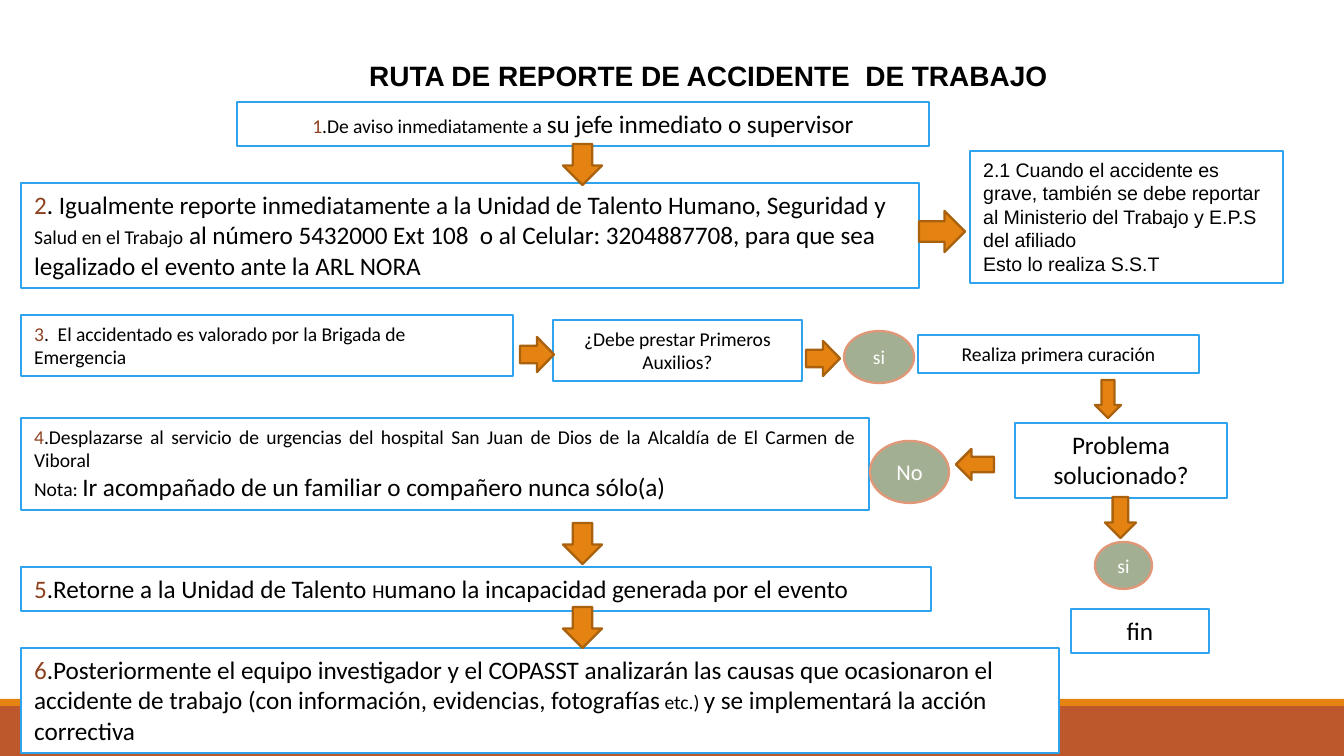
from pptx import Presentation
from pptx.dml.color import RGBColor as RGB
from pptx.enum.shapes import MSO_SHAPE as SHAPE
from pptx.enum.text import MSO_ANCHOR as ANCHOR, MSO_AUTO_SIZE as FIT, PP_ALIGN as ALIGN
from pptx.util import Pt

PX = 914400 / 134.4
WIDE, HIGH = 1344, 756
BIG, SMALL = 13.5, 10.5
LEFT, MID, JUST = ALIGN.LEFT, ALIGN.CENTER, ALIGN.JUSTIFY
HEX = {
    "ink": "000000", "paper": "FFFFFF", "number": "8E4221", "frame": "2FA3EE",
    "sage": "A2AF92", "rim": "E09878", "arrow": "E48312", "edge": "A9610D",
    "band": "BD582C",
}

TITLE = "RUTA DE REPORTE DE ACCIDENTE  DE TRABAJO"
BANDS = [((0, 706, WIDE, 50), "band"), ((0, 699, WIDE, 7), "arrow")]

BOXES = [
    ((237, 102, 692, 44), MID, "Calibri", [[
        ("1", SMALL, "number"), (".De aviso inmediatamente a ", SMALL),
        ("su jefe inmediato o supervisor", BIG)]]),
    ((21, 183, 898, 105), LEFT, "Calibri", [[
        ("2", BIG, "number"),
        (". Igualmente reporte inmediatamente a la Unidad de Talento Humano, Seguridad y ", BIG),
        ("Salud en el Trabajo", SMALL),
        (" al número 5432000 Ext 108  o al Celular: 3204887708, para que sea "
         "legalizado el evento ante la ARL NORA", BIG)]]),
    ((970, 151, 313, 132), LEFT, "Arial", [
        [("2.1 Cuando el accidente es grave, también se debe reportar al "
          "Ministerio del Trabajo y E.P.S del afiliado", SMALL)],
        [("Esto lo realiza S.S.T", SMALL)]]),
    ((21, 315, 492, 61), LEFT, "Calibri", [[
        ("3", SMALL, "number"),
        (".  El accidentado es valorado por la Brigada de Emergencia", SMALL)]]),
    ((553, 320, 249, 61), MID, "Calibri", [[("¿Debe prestar Primeros Auxilios?", SMALL)]]),
    ((918, 335, 281, 38), MID, "Calibri", [[("Realiza primera curación", SMALL)]]),
    ((21, 418, 848, 92), JUST, "Calibri", [
        [("4", SMALL, "number"),
         (".Desplazarse al servicio de urgencias del hospital San Juan de Dios "
          "de la Alcaldía de El Carmen de Viboral", SMALL)],
        [("Nota: ", SMALL),
         ("Ir acompañado de un familiar o compañero nunca sólo(a)", BIG)]]),
    ((1015, 423, 212, 75), MID, "Calibri", [[("Problema solucionado?", BIG)]]),
    ((1071, 609, 138, 44), MID, "Calibri", [[("fin", BIG)]]),
    ((21, 567, 910, 44), LEFT, "Calibri", [[
        ("5", BIG, "number"), (".Retorne a la Unidad de Talento ", BIG),
        ("H", SMALL), ("umano la incapacidad generada por el evento", BIG)]]),
    ((21, 648, 1038, 105), LEFT, "Calibri", [[
        ("6", BIG, "number"),
        (".Posteriormente el equipo investigador y el COPASST analizarán las "
         "causas que ocasionaron el accidente de trabajo (con información, "
         "evidencias, fotografías", BIG),
        (" etc.) ", SMALL), ("y se implementará la acción correctiva", BIG)]]),
]
OVALS = [
    ((844, 331, 70, 52), "si", SMALL),
    ((870, 441, 79, 62), "No", 12),
    ((1095, 542, 57, 47), "si", SMALL),
]
ARROWS = {
    SHAPE.DOWN_ARROW: [(563, y, 39, 41) for y in (144, 523, 607)]
    + [(1095, 380, 26, 38), (1105, 497, 31, 41)],
    SHAPE.RIGHT_ARROW: [(520, 337, 34, 35), (806, 341, 34, 35), (919, 211, 46, 41)],
    SHAPE.LEFT_ARROW: [(956, 449, 38, 31)],
}


def emu(spot):
    return [round(n * PX) for n in spot]


def draw(kind, spot, fill, line=None):
    shape = slide.shapes.add_shape(kind, *emu(spot))
    shape.shadow.inherit = False
    shape.fill.solid()
    shape.fill.fore_color.rgb = RGB.from_string(HEX[fill])
    if line:
        shape.line.color.rgb = RGB.from_string(HEX[line])
        shape.line.width = Pt(1.25)
    else:
        shape.line.fill.background()
    return shape


def write(shape, paras, font="Calibri", align=MID, anchor=ANCHOR.TOP,
          color="ink", bold=False, wrap=True):
    frame = shape.text_frame
    frame.word_wrap = wrap
    frame.auto_size = FIT.NONE
    frame.vertical_anchor = anchor
    for i, runs in enumerate(paras):
        para = frame.add_paragraph() if i else frame.paragraphs[0]
        para.alignment = align
        for text, size, *tint in runs:
            run = para.add_run()
            run.text = text
            run.font.name = font
            run.font.size = Pt(size)
            run.font.bold = bold
            run.font.color.rgb = RGB.from_string(HEX[tint[0] if tint else color])


deck = Presentation()
deck.slide_width, deck.slide_height = emu((WIDE, HIGH))
slide = deck.slides.add_slide(deck.slide_layouts[5])

for spot, fill in BANDS:
    draw(SHAPE.RECTANGLE, spot, fill)

title = slide.shapes.title
title.left, title.top, title.width, title.height = emu((242, 52, 933, 47))
write(title, [[(TITLE, 15)]], font="Arial", bold=True)

for spot, align, font, paras in BOXES:
    write(draw(SHAPE.RECTANGLE, spot, "paper", "frame"), paras, font=font, align=align)

for spot, text, size in OVALS:
    oval = draw(SHAPE.OVAL, spot, "sage", "rim")
    write(oval, [[(text, size)]], anchor=ANCHOR.MIDDLE, color="paper", wrap=False)

for kind, spots in ARROWS.items():
    for spot in spots:
        draw(kind, spot, "arrow", "edge")

deck.save("out.pptx")
